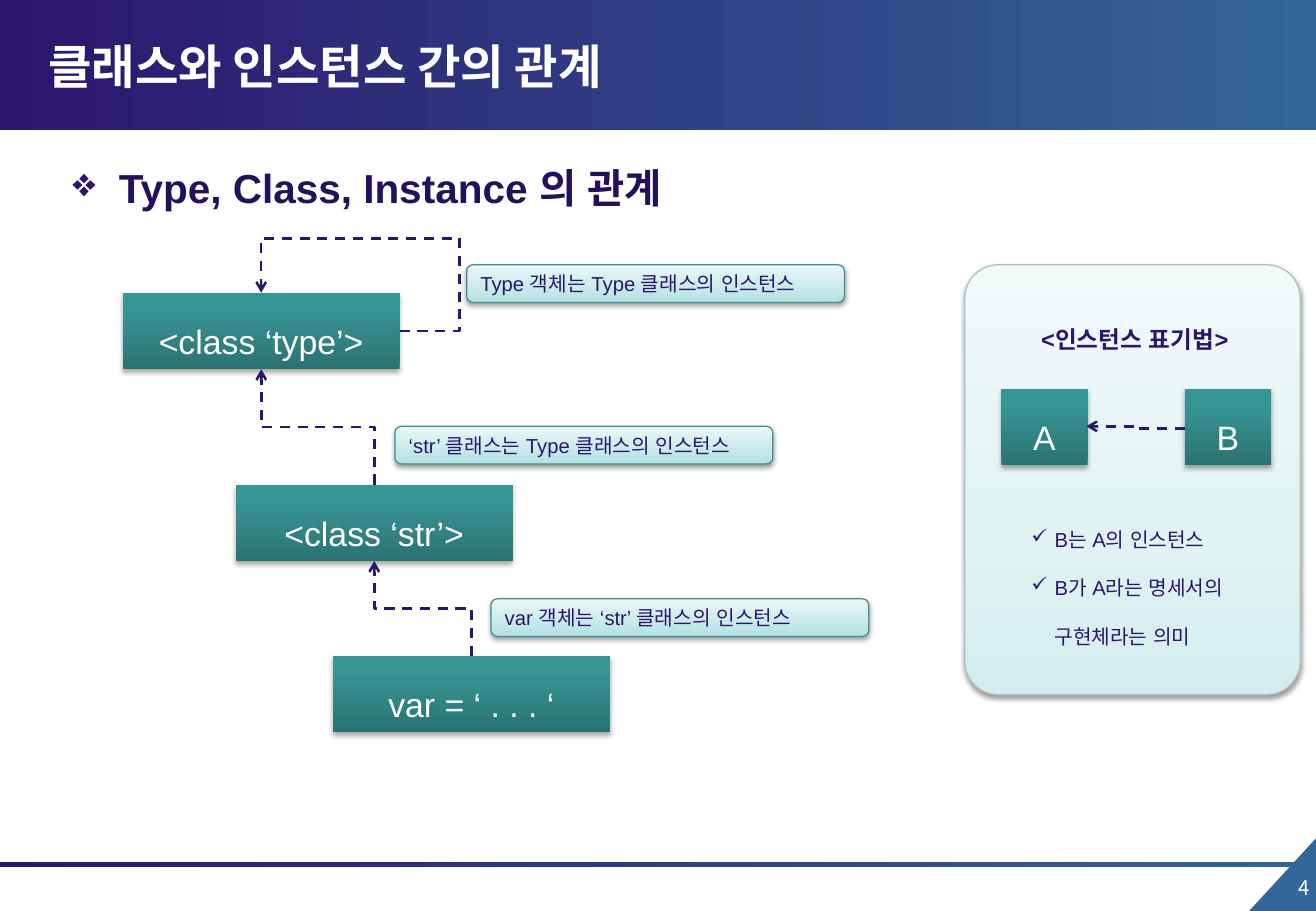
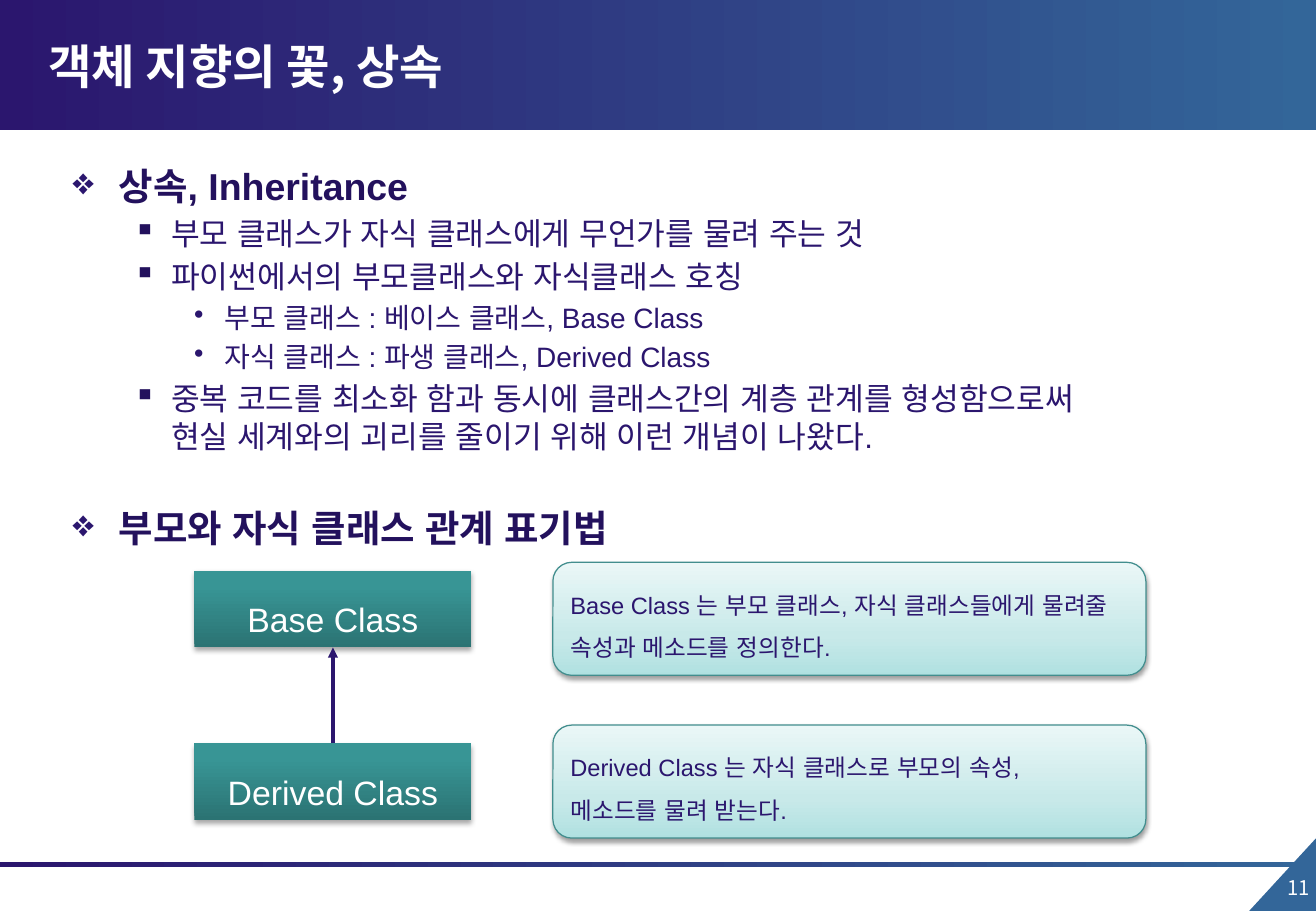
from lxml.etree import SubElement
from copy import deepcopy
from pptx import Presentation
from pptx.dml.color import RGBColor
from pptx.enum.dml import MSO_LINE
from pptx.enum.shapes import MSO_CONNECTOR, MSO_SHAPE
from pptx.enum.text import MSO_ANCHOR, PP_ALIGN
from pptx.oxml.ns import qn
from pptx.util import Inches, Pt

COLORS = {
    "navy": "2B166E", "ink": "23115D", "blue": "336699", "white": "FFFFFF", "black": "000000",
    "teal_dark": "2B7373", "teal": "389595", "teal_light": "379898",
    "mint_dark": "B0E1E1", "mint": "C8E9E9", "mint_light": "EAF7F7", "mint_edge": "428E8E",
    "mist_dark": "D3EDED", "mist": "E0F2F2", "mist_light": "F2FAFA", "mist_edge": "ACC2C2",
}
GRADIENTS = {
    "band": [(0, "navy"), (1, "blue")],
    "node": [(0, "teal_dark"), (0.8, "teal"), (1, "teal_light")],
    "callout": [(0, "mint_dark"), (0.35, "mint"), (1, "mint_light")],
    "panel": [(0, "mist_dark"), (0.35, "mist"), (1, "mist_light")],
}
KOREAN = "Noto Sans CJK KR"
STYLES = {
    "title": {"size": 28, "color": "white", "font": KOREAN, "bold": True},
    "page": {"size": 12, "color": "white", "font": KOREAN, "align": PP_ALIGN.RIGHT},
    "node": {"size": 20, "color": "white", "align": PP_ALIGN.CENTER, "spacing": 1.5},
    "label": {"size": 12},
    "note": {"size": 14, "spacing": 1.5},
    "legend": {"size": 14, "bold": True, "align": PP_ALIGN.CENTER, "spacing": 2},
    "check": {"size": 12, "spacing": 2, "bullet": ("✓", "navy", 1.9, 1.9)},
    "topic": {"size": 24, "color": "ink", "bold": True, "before": 4.8,
              "bullet": ("❖", "navy", 3.8, 3.8)},
    "heading": {"size": 22.2, "color": "ink", "bold": True, "before": 4.4,
                "bullet": ("❖", "navy", 3.8, 3.8)},
    "point": {"size": 18.5, "before": 3.7, "bullet": ("▪", "ink", 8.1, 3.1)},
    "detail": {"size": 16.6, "before": 3.3, "bullet": ("•", "navy", 12.5, 2.5)},
}
STYLES["next_heading"] = STYLES["heading"] | {"before": 30}

CELL = Inches(0.1)
COLUMNS, ROWS = 108.3, 75
NODE_WIDTH, NODE_HEIGHT = 22.8, 6.3


def cells(*values):
    """Turn grid cells into slide lengths."""
    return [round(value * CELL) for value in values]


class Deck:
    """Draws styled elements on a grid of tenth-inch cells."""

    def __init__(self):
        self.presentation = Presentation()
        self.presentation.slide_width, self.presentation.slide_height = cells(COLUMNS, ROWS)
        self.slide = None

    def color(self, name):
        return RGBColor.from_string(COLORS[name])

    def start_slide(self, title, page):
        self.slide = self.presentation.slides.add_slide(self.presentation.slide_layouts[6])
        corner = self.shape(MSO_SHAPE.RIGHT_TRIANGLE, (102.5, 69.1, 6.2, 5.7))
        corner.rotation = 270
        corner.fill.solid()
        corner.fill.fore_color.rgb = self.color("blue")
        for top, height in ((71, 0.4), (0, 10.7)):
            band = self.shape(MSO_SHAPE.RECTANGLE, (0, top, COLUMNS, height))
            self.gradient(band, "band", 0)
        self.text((102.7, 71.6, 6.1, 4.1), [(page, "page")])
        self.text((3, 2.3, 81.2, 6.2), [(title, "title")], MSO_ANCHOR.MIDDLE)

    def shape(self, preset, box):
        shape = self.slide.shapes.add_shape(preset, *cells(*box))
        shape.shadow.inherit = False
        shape.line.fill.background()
        return shape

    def gradient(self, shape, name, angle=90):
        stops = GRADIENTS[name]
        shape.fill.gradient()
        shape.fill.gradient_angle = angle
        stop_list = shape.element.spPr.find(".//" + qn("a:gsLst"))
        for _ in stops[2:]:
            stop_list.append(deepcopy(stop_list[0]))
        for stop, (position, color) in zip(shape.fill.gradient_stops, stops):
            stop.position = position
            stop.color.rgb = self.color(color)

    def shadow(self, shape, distance, opacity):
        effects = shape.element.spPr.find(qn("a:effectLst"))
        outer = SubElement(effects, qn("a:outerShdw"), blurRad=str(Pt(3.1)),
                           dist=str(Pt(distance)), dir="5400000", rotWithShape="0")
        color = SubElement(outer, qn("a:srgbClr"), val=COLORS["black"])
        SubElement(color, qn("a:alpha"), val=str(opacity * 1000))

    def node(self, left, top, text, width=NODE_WIDTH):
        shape = self.shape(MSO_SHAPE.RECTANGLE, (left, top, width, NODE_HEIGHT))
        self.gradient(shape, "node")
        self.shadow(shape, 1.8, 35)
        self.set_text(shape, [(text, "node")], MSO_ANCHOR.MIDDLE)

    def card(self, box, gradient, edge):
        shape = self.shape(MSO_SHAPE.ROUNDED_RECTANGLE, box)
        self.gradient(shape, gradient)
        shape.line.color.rgb = self.color(edge)
        shape.line.width = Pt(0.75)
        self.shadow(shape, 1.6, 38)
        return shape

    def callout(self, box, text, style):
        shape = self.card(box, "callout", "mint_edge")
        self.set_text(shape, [(text, style)], MSO_ANCHOR.MIDDLE)

    def panel(self, box):
        self.card(box, "panel", "mist_edge").adjustments[0] = 0.1

    def text(self, box, paragraphs, anchor=MSO_ANCHOR.TOP):
        self.set_text(self.slide.shapes.add_textbox(*cells(*box)), paragraphs, anchor)

    def set_text(self, shape, paragraphs, anchor):
        frame = shape.text_frame
        frame.word_wrap = True
        frame.vertical_anchor = anchor
        for index, (text, style) in enumerate(paragraphs):
            paragraph = frame.add_paragraph() if index else frame.paragraphs[0]
            paragraph.text = text
            self.style_paragraph(paragraph, **STYLES[style])

    def style_paragraph(self, paragraph, size, color="navy", font="Arial", bold=False,
                        align=PP_ALIGN.LEFT, spacing=None, before=0, bullet=None):
        paragraph.alignment = align
        paragraph.line_spacing = spacing
        paragraph.space_before = Pt(before)
        for run in paragraph.runs:
            run.font.size = Pt(size)
            run.font.bold = bold
            run.font.color.rgb = self.color(color)
            run.font.name = font
            SubElement(run.font._element, qn("a:ea"), typeface=font)
        if bullet:
            self.bullet(paragraph, *bullet)

    def bullet(self, paragraph, mark, color, margin, hang):
        properties = paragraph._p.get_or_add_pPr()
        left, indent = cells(margin, -hang)
        properties.set("marL", str(left))
        properties.set("indent", str(indent))
        holder = SubElement(properties, qn("a:buClr"))
        SubElement(holder, qn("a:srgbClr"), val=COLORS[color])
        SubElement(properties, qn("a:buChar"), char=mark)

    def connector(self, kind, start, end, width, head):
        connector = self.slide.shapes.add_connector(kind, *cells(*start, *end))
        connector.line.color.rgb = self.color("navy")
        connector.line.width = Pt(width)
        if kind == MSO_CONNECTOR.ELBOW:
            connector.line.dash_style = MSO_LINE.DASH
        properties = connector.element.spPr
        SubElement(properties.find(qn("a:ln")), qn("a:tailEnd"), type=head)
        SubElement(properties, qn("a:effectLst"))
        return connector

    def arrow(self, start, end):
        self.connector(MSO_CONNECTOR.STRAIGHT, start, end, 2, "triangle")

    def elbow(self, start, end):
        return self.connector(MSO_CONNECTOR.ELBOW, start, end, 1.5, "arrow")

    def elbow_up(self, start, end):
        center_x, center_y = (start[0] + end[0]) / 2, (start[1] + end[1]) / 2
        half_rise, half_run = (start[1] - end[1]) / 2, (start[0] - end[0]) / 2
        connector = self.elbow((center_x - half_rise, center_y + half_run),
                               (center_x + half_rise, center_y - half_run))
        connector.element.spPr.find(qn("a:xfrm")).set("rot", "16200000")

    def loop(self, start, end, bends):
        geometry = self.elbow(start, end).element.spPr.find(qn("a:prstGeom"))
        geometry.set("prst", "bentConnector4")
        guides = geometry.find(qn("a:avLst"))
        for number, bend in enumerate(bends, 1):
            SubElement(guides, qn("a:gd"), name=f"adj{number}", fmla=f"val {round(bend * 100000)}")


def draw_relations(deck):
    """Draw the type, class and instance chain with its legend."""
    deck.start_slide("클래스와 인스턴스 간의 관계", "4")
    deck.panel((79.4, 21.8, 27.6, 35.4))
    deck.text((5, 12.9, 98, 5.7), [("Type, Class, Instance 의 관계", "topic")])
    chain = [(10.1, 24.1, "<class ‘type’>"), (19.4, 39.9, "<class ‘str’>"),
             (27.4, 54, "var = ‘ . . . ‘")]
    for left, top, text in chain:
        deck.node(left, top, text)
    middle = NODE_WIDTH / 2
    left, top, _ = chain[0]
    deck.loop((left + NODE_WIDTH, top + NODE_HEIGHT / 2), (left + middle, top), (-0.43, 2.42))
    for (left, top, _), (next_left, next_top, _) in zip(chain, chain[1:]):
        deck.elbow_up((next_left + middle, next_top), (left + middle, top + NODE_HEIGHT))
    for left, top, text in ((38.4, 21.8, "Type 객체는 Type 클래스의 인스턴스"),
                            (32.5, 35.1, "‘str’ 클래스는 Type 클래스의 인스턴스"),
                            (40.4, 49.3, "var 객체는 ‘str’ 클래스의 인스턴스")):
        deck.callout((left, top, 31.1, 3.1), text, "label")
    for left, text in ((82.4, "A"), (97.5, "B")):
        deck.node(left, 32, text, 7.1)
    deck.elbow((97.5, 35.3), (89.4, 35.1))
    deck.text((83.9, 40.9, 20.6, 13.1), [("B는 A의 인스턴스", "check"),
                                         ("B가 A라는 명세서의 구현체라는 의미", "check")])
    deck.text((83.1, 23.9, 20.6, 5), [("<인스턴스 표기법>", "legend")])


def draw_inheritance(deck):
    """Draw the inheritance points and the base and derived pair."""
    deck.start_slide("객체 지향의 꽃, 상속", "11")
    deck.text((5, 12.9, 98, 33.4), [
        ("상속, Inheritance", "heading"),
        ("부모 클래스가 자식 클래스에게 무언가를 물려 주는 것", "point"),
        ("파이썬에서의 부모클래스와 자식클래스 호칭", "point"),
        ("부모 클래스 : 베이스 클래스, Base Class", "detail"),
        ("자식 클래스 : 파생 클래스, Derived Class", "detail"),
        ("중복 코드를 최소화 함과 동시에 클래스간의 계층 관계를 형성함으로써 \n"
         "현실 세계와의 괴리를 줄이기 위해 이런 개념이 나왔다.", "point"),
        ("부모와 자식 클래스 관계 표기법", "next_heading"),
    ])
    left, base_top, derived_top = 16, 47, 61.2
    deck.node(left, base_top, "Base Class")
    deck.node(left, derived_top, "Derived Class")
    middle = left + NODE_WIDTH / 2
    deck.arrow((middle, derived_top), (middle, base_top + NODE_HEIGHT))
    for top, text in (
            (46.3, "Base Class 는 부모 클래스, 자식 클래스들에게 물려줄 속성과 메소드를 정의한다."),
            (59.7, "Derived Class 는 자식 클래스로 부모의 속성,\n메소드를 물려 받는다.")):
        deck.callout((45.5, top, 48.8, 9.3), text, "note")


deck = Deck()
draw_relations(deck)
draw_inheritance(deck)
deck.presentation.save("out.pptx")
